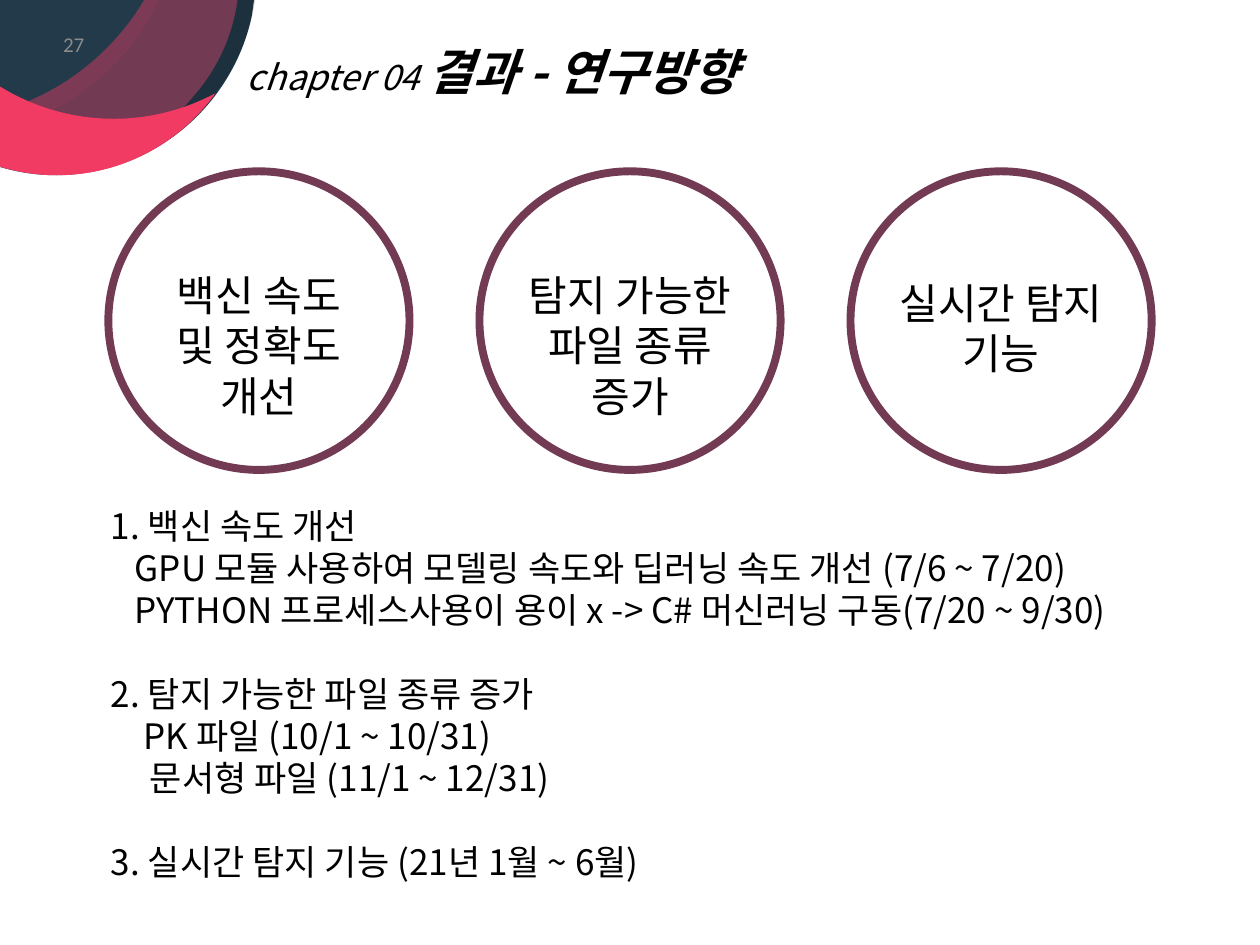
from dataclasses import dataclass
from itertools import chain

from lxml.etree import SubElement
from pptx import Presentation
from pptx.dml.color import RGBColor
from pptx.enum.shapes import MSO_SHAPE as Preset
from pptx.enum.text import MSO_ANCHOR as Anchor, MSO_AUTO_SIZE as AutoSize, PP_ALIGN as Align
from pptx.oxml.ns import qn
from pptx.util import Inches, Pt

BLACK = RGBColor(0x00, 0x00, 0x00)
WHITE = RGBColor(0xFF, 0xFF, 0xFF)
NAVY = RGBColor(0x23, 0x3A, 0x4A)
PINK = RGBColor(0xF1, 0x3B, 0x63)
PLUM = RGBColor(0x73, 0x3A, 0x53)
GREY = RGBColor(0x8C, 0x8C, 0x8C)
KOREAN = "Noto Sans CJK KR"
UNITS = 1000


@dataclass(frozen=True)
class Petal:
    color: RGBColor
    opacity: int
    start: tuple
    steps: tuple


@dataclass(frozen=True)
class Goal:
    text: str
    top: float
    width: float


@dataclass(frozen=True)
class Line:
    text: str
    indent: float = 0
    before: int = 0


BASE = Petal(NAVY, 100, (-0.51, -0.03), (
    (2.02, -0.03), (2, 0.12), (1.85, 0.84, 1.21, 1.39, 0.44, 1.39),
    (0.11, 1.39, -0.21, 1.28, -0.46, 1.1), (-0.51, 1.07)))
LENS = Petal(PINK, 39, (1.28, -0.04), (
    (1.89, -0.04), (1.86, 0.25, 1.74, 0.53, 1.54, 0.76),
    (1.22, 1.15, 0.74, 1.34, 0.27, 1.31), (0.24, 1.31),
    (0.04, 1.27, -0.15, 1.2, -0.33, 1.09), (0.27, 1.04, 0.82, 0.71, 1.15, 0.2),
    (1.18, 0.14, 1.21, 0.09, 1.24, 0.03)))
SHADE = Petal(BLACK, 16, (1.89, -0.04), (
    (2.03, -0.04), (2.03, -0.03), (2, 0.19, 1.93, 0.41, 1.8, 0.61),
    (1.47, 1.13, 0.88, 1.38, 0.31, 1.32), (0.27, 1.31),
    (0.74, 1.34, 1.22, 1.15, 1.54, 0.76), (1.74, 0.53, 1.86, 0.25, 1.89, -0.04)))
BAND = Petal(PINK, 25, (1.28, -0.04), (
    (1.24, 0.03), (1.21, 0.09, 1.18, 0.14, 1.15, 0.2),
    (0.82, 0.71, 0.27, 1.04, -0.33, 1.09), (-0.15, 1.2, 0.04, 1.27, 0.24, 1.31),
    (0.27, 1.31), (0.2, 1.3), (-0.02, 1.28, -0.24, 1.21, -0.44, 1.09),
    (-0.51, 1.04), (-0.51, 0.95), (-0.4, 0.95), (0.12, 0.92, 0.61, 0.67, 0.95, 0.27),
    (1.03, 0.18, 1.09, 0.09, 1.15, -0.01), (1.16, -0.04)))
CRESCENT = Petal(PINK, 100, (-0.5, 0.22), (
    (-0.48, 0.26), (-0.38, 0.4, -0.25, 0.52, -0.1, 0.62),
    (0.43, 1, 1.13, 1.05, 1.71, 0.74), (1.21, 1.44, 0.25, 1.6, -0.45, 1.1),
    (-0.5, 1.06)))
PETALS = (BASE, LENS, SHADE, BAND, CRESCENT, BAND)

GOALS = (
    Goal("백신 속도 및 정확도 개선", 2.09, 1.88),
    Goal("탐지 가능한 파일 종류 증가", 2.09, 2.19),
    Goal("실시간 탐지 기능", 2.15, 1.96),
)
LINES = (
    Line("1. 백신 속도 개선"),
    Line("GPU 모듈 사용하여 모델링 속도와 딥러닝 속도 개선 (7/6 ~ 7/20)", 0.19),
    Line("PYTHON 프로세스사용이 용이 x -> C# 머신러닝 구동(7/20 ~ 9/30)", 0.19),
    Line("2. 탐지 가능한 파일 종류 증가", before=24),
    Line("PK 파일 (10/1 ~ 10/31)", 0.26),
    Line("문서형 파일 (11/1 ~ 12/31)", 0.31),
    Line("3. 실시간 탐지 기능 (21년 1월 ~ 6월)", before=24),
)


def bend_curves(shape, steps: tuple) -> None:
    segments = iter(list(shape._element.iter(qn("a:lnTo"))))
    for step in steps:
        segment = next(segments)
        if len(step) == 2:
            continue
        curve = segment.makeelement(qn("a:cubicBezTo"))
        segment.addprevious(curve)
        for control in (segment, next(segments), next(segments)):
            curve.append(control[0])
            control.getparent().remove(control)


def draw_petal(page, petal: Petal) -> None:
    values = [round(value * UNITS) for value in chain(petal.start, *petal.steps)]
    first, *rest = zip(values[::2], values[1::2])
    builder = page.shapes.build_freeform(*first, scale=Inches(1) / UNITS)
    builder.add_line_segments(rest, close=True)
    shape = builder.convert_to_shape()
    bend_curves(shape, petal.steps)
    shape.shadow.inherit = False
    shape.line.fill.background()
    shape.fill.solid()
    shape.fill.fore_color.rgb = petal.color
    if petal.opacity < 100:
        color = shape.fill._xPr.find(qn("a:solidFill"))[0]
        SubElement(color, qn("a:alpha"), val=str(petal.opacity * 1000))


def style_font(font, size: int, color: RGBColor = BLACK, name: str = KOREAN) -> None:
    font.size = Pt(size)
    font.color.rgb = color
    font.name = name
    SubElement(font._rPr, qn("a:ea"), typeface=name)


def place(box, left: float, top: float, width: float, height: float) -> None:
    box.left, box.top = Inches(left), Inches(top)
    box.width, box.height = Inches(width), Inches(height)
    box.text_frame.word_wrap = True
    box.text_frame.auto_size = AutoSize.NONE
    box.text_frame.vertical_anchor = Anchor.TOP


def add_label(page, text: str, left: float, top: float, width: float, height: float):
    box = page.shapes.add_textbox(0, 0, 0, 0)
    place(box, left, top, width, height)
    para = box.text_frame.paragraphs[0]
    para.text = text
    para.alignment = Align.CENTER
    return box


def draw_goal(page, goal: Goal, left: float) -> None:
    diameter = 2.39
    ring = page.shapes.add_shape(
        Preset.OVAL, Inches(left), Inches(1.36), Inches(diameter), Inches(2.37))
    ring.shadow.inherit = False
    ring.fill.solid()
    ring.fill.fore_color.rgb = WHITE
    ring.line.color.rgb = PLUM
    ring.line.width = Pt(4.5)
    label = add_label(
        page, goal.text, left + (diameter - goal.width) / 2, goal.top, goal.width, 0.91)
    frame = label.text_frame
    frame.margin_left = frame.margin_right = Inches(0.13)
    style_font(frame.paragraphs[0].font, 24)


def fill_title(title) -> None:
    place(title, 1.86, 0.33, 7.62, 0.64)
    para = title.text_frame.paragraphs[0]
    para.alignment = Align.LEFT
    para.line_spacing = 0.9
    for text, size, bold in (("chapter 04 ", 20, False), ("결과 - 연구방향", 28, True)):
        span = para.add_run()
        span.text = text
        span.font.bold = bold
        span.font.italic = True
        style_font(span.font, size)


def fill_body(body) -> None:
    place(body, 0.78, 3.95, 8.27, 3.13)
    frame = body.text_frame
    for index, line in enumerate(LINES):
        para = frame.add_paragraph() if index else frame.paragraphs[0]
        para.text = line.text
        para.space_before = Pt(line.before)
        properties = para._p.get_or_add_pPr()
        properties.set("marL", "0")
        properties.set("indent", str(Inches(line.indent)))
        SubElement(properties, qn("a:buNone"))
        style_font(para.font, 20)


def main() -> None:
    deck = Presentation()
    deck.slide_width, deck.slide_height = Inches(10), Inches(7.5)
    page = deck.slides.add_slide(deck.slide_layouts[1])
    for petal in PETALS:
        draw_petal(page, petal)
    fill_title(page.shapes.title)
    number = add_label(page, "27", -0.13, 0.15, 1.43, 0.4)
    number.text_frame.vertical_anchor = Anchor.MIDDLE
    style_font(number.text_frame.paragraphs[0].font, 12, GREY, "Calibri")
    for index, goal in enumerate(GOALS):
        draw_goal(page, goal, 0.86 + index * 2.945)
    fill_body(page.placeholders[1])
    deck.save("out.pptx")


if __name__ == "__main__":
    main()
